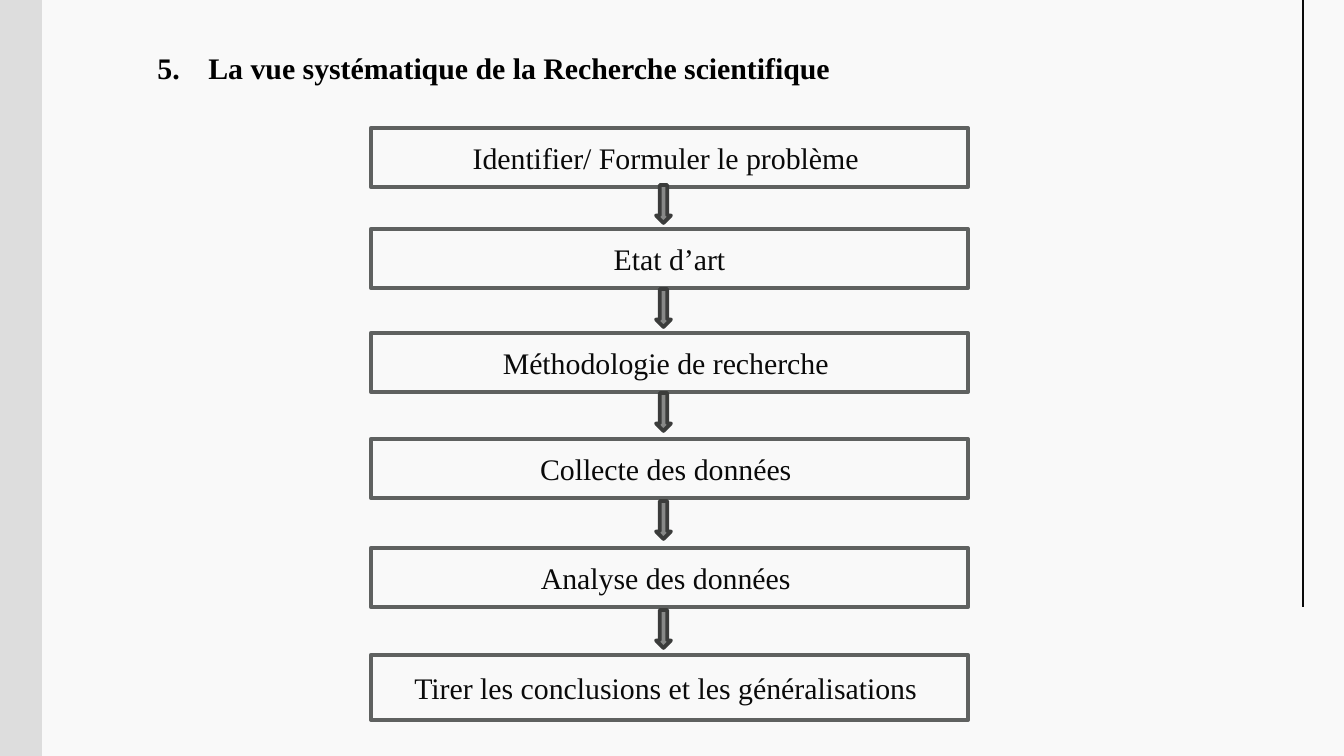
from dataclasses import dataclass

from lxml import etree
from pptx import Presentation
from pptx import util as u
from pptx.dml import color
from pptx.enum import shapes, text
from pptx.oxml import ns

EMU_PER_PX = 914400 / 134.4
WIDTH, HEIGHT = 1344, 756


def px(*lengths):
    return [u.Emu(round(length * EMU_PER_PX)) for length in lengths]


@dataclass(frozen=True)
class Theme:
    background: str = "F9F9F9"
    band: str = "DDDDDD"
    ink: str = "0A0A0A"
    heading: str = "000000"
    box_line: str = "5F6160"
    arrow_fill: str = "878887"
    arrow_line: str = "3B3C3B"
    font: str = "Times New Roman"
    size: int = 16
    rule_width: float = 0.75
    box_width: float = 2.25
    arrow_width: float = 2


def rgb(value):
    return color.RGBColor.from_string(value)


def apply(target, formats):
    for name, value in formats.items():
        setattr(target, name, value)


class Page:
    def __init__(self, slide, theme):
        self.slide = slide
        self.theme = theme
        self.paint(slide.background.fill, theme.background)

    def paint(self, fill, value):
        if value:
            fill.solid()
            fill.fore_color.rgb = rgb(value)
        else:
            fill.background()

    def add_wording(self, paragraph, wording, ink, bold=False):
        run = paragraph.add_run()
        run.text = wording
        apply(run.font, {"name": self.theme.font, "size": u.Pt(self.theme.size), "bold": bold})
        run.font.color.rgb = rgb(ink)

    def stroke(self, line, value, width):
        self.paint(line.fill, value)
        if value:
            line.width = u.Pt(width)

    def title(self, wording, number, indent, left, top, width, height):
        heading = self.slide.shapes.title
        apply(heading, dict(zip(("left", "top", "width", "height"), px(left, top, width, height))))
        frame = heading.text_frame
        apply(frame, {
            "word_wrap": True,
            "vertical_anchor": text.MSO_ANCHOR.TOP,
            "auto_size": text.MSO_AUTO_SIZE.SHAPE_TO_FIT_TEXT,
        })
        paragraph = frame.paragraphs[0]
        paragraph.alignment = text.PP_ALIGN.LEFT
        self.add_wording(paragraph, wording, self.theme.heading, bold=True)
        properties = paragraph._p.get_or_add_pPr()
        margin = px(indent)[0]
        properties.set("marL", str(margin))
        properties.set("indent", str(-margin))
        bullet_color = etree.SubElement(properties, ns.qn("a:buClr"))
        etree.SubElement(bullet_color, ns.qn("a:srgbClr"), val=self.theme.heading)
        etree.SubElement(properties, ns.qn("a:buFont"), typeface=self.theme.font)
        etree.SubElement(properties, ns.qn("a:buAutoNum"), type="arabicPeriod", startAt=str(number))

    def shape(self, kind, bounds, fill=None, line=None, width=0):
        item = self.slide.shapes.add_shape(kind, *px(*bounds))
        item.shadow.inherit = False
        self.paint(item.fill, fill)
        self.stroke(item.line, line, width)
        return item

    def band(self, *bounds):
        self.shape(shapes.MSO_SHAPE.RECTANGLE, bounds, self.theme.band)

    def rule(self, *ends):
        line = self.slide.shapes.add_connector(shapes.MSO_CONNECTOR.STRAIGHT, *px(*ends))
        self.stroke(line.line, self.theme.ink, self.theme.rule_width)
        etree.SubElement(line._element.spPr, ns.qn("a:effectLst"))

    def step(self, wording, *bounds):
        box = self.shape(shapes.MSO_SHAPE.RECTANGLE, bounds,
                         line=self.theme.box_line, width=self.theme.box_width)
        apply(box.text_frame, {"word_wrap": True, "vertical_anchor": text.MSO_ANCHOR.MIDDLE})
        paragraph = box.text_frame.paragraphs[0]
        paragraph.alignment = text.PP_ALIGN.CENTER
        self.add_wording(paragraph, wording, self.theme.ink)

    def arrow(self, *bounds):
        self.shape(shapes.MSO_SHAPE.DOWN_ARROW, bounds, self.theme.arrow_fill,
                   self.theme.arrow_line, self.theme.arrow_width)


STEPS = [
    ("Identifier/ Formuler le problème ", 128, 59),
    ("Etat d’art", 229, 59),
    ("Méthodologie de recherche ", 333, 59),
    ("Collecte des données ", 439, 59),
    ("Analyse des données ", 548, 59),
    ("Tirer les conclusions et les généralisations ", 655, 65),
]
ARROW_TOPS = [185, 289, 393, 501, 610]


def main():
    deck = Presentation()
    deck.slide_width, deck.slide_height = px(WIDTH, HEIGHT)
    page = Page(deck.slides.add_slide(deck.slide_layouts[5]), Theme())
    page.band(0, 0, 42, HEIGHT)
    page.rule(1303, 607, 1303, 0)
    page.title("La vue systématique de la Recherche scientifique", 5, 51, 144, 43, 898, 50)
    for wording, top, height in STEPS:
        page.step(wording, 371, top, 597, height)
    for top in ARROW_TOPS:
        page.arrow(656, top, 15, 38)
    deck.save("out.pptx")


if __name__ == "__main__":
    main()
